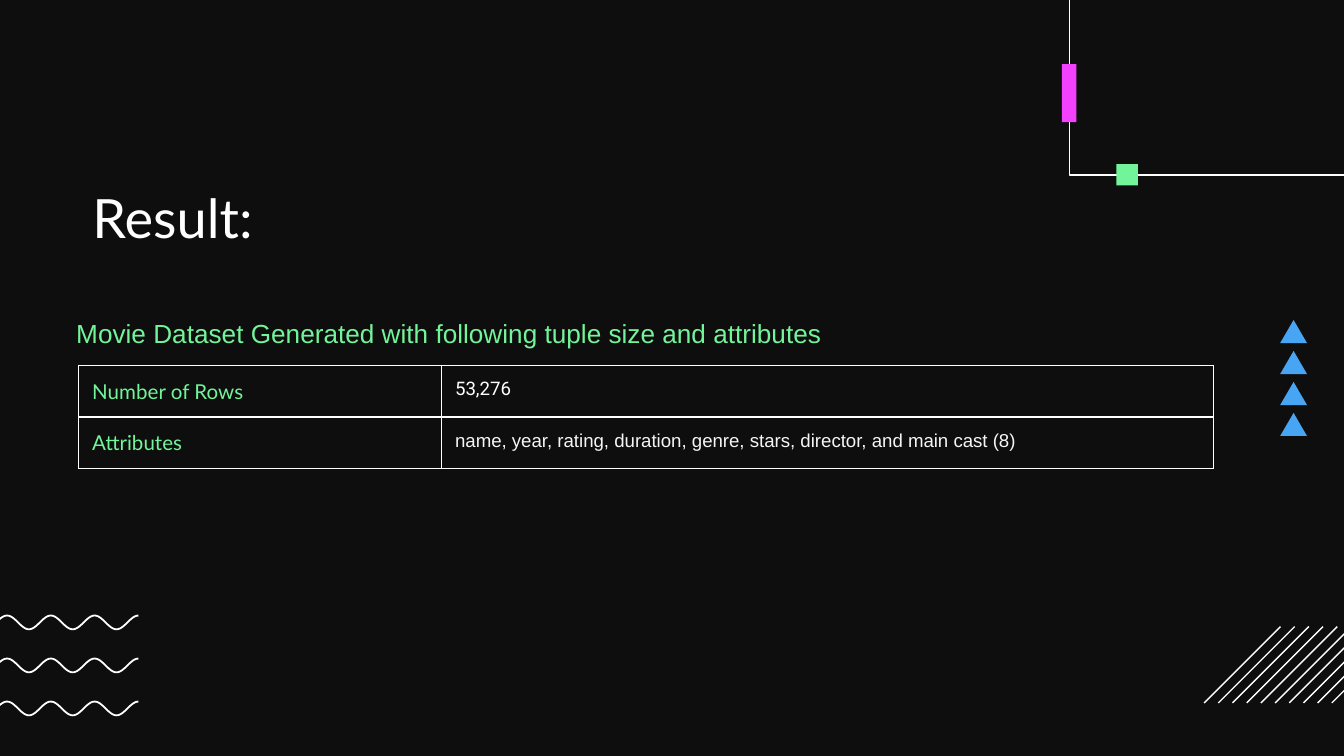
import math

import lxml.etree
import pptx
import pptx.dml.color
import pptx.enum.shapes
import pptx.enum.text
import pptx.oxml.ns
import pptx.util

Pt = pptx.util.Pt
qn = pptx.oxml.ns.qn
SHAPES = pptx.enum.shapes.MSO_SHAPE
COLORS = {
    "back": "0E0E0E",
    "white": "FFFFFF",
    "soft": "F5F5F5",
    "green": "72F49A",
    "blue": "47A5F3",
    "pink": "F341FF",
}


def color(name):
    return pptx.dml.color.RGBColor.from_string(COLORS[name])


def style_text(para, text, font, size, tint):
    para.text = text
    span = para.runs[0]
    span.font.name = font
    span.font.size = Pt(size)
    span.font.color.rgb = color(tint)


def add_text(page, box, text, font, size, tint, insets, wrap=True):
    frame = page.shapes.add_textbox(*map(Pt, box)).text_frame
    frame.word_wrap = wrap
    frame.vertical_anchor = pptx.enum.text.MSO_ANCHOR.TOP
    frame.margin_left, frame.margin_top, frame.margin_right, frame.margin_bottom = map(Pt, insets)
    style_text(frame.paragraphs[0], text, font, size, tint)


def add_solid(page, kind, box, tint):
    shape = page.shapes.add_shape(kind, *map(Pt, box))
    shape.shadow.inherit = False
    shape.fill.solid()
    shape.fill.fore_color.rgb = color(tint)
    shape.line.fill.background()


def add_outline(page, points, width):
    points = [(Pt(x), Pt(y)) for x, y in points]
    builder = page.shapes.build_freeform(*points[0])
    builder.add_line_segments(points[1:], close=False)
    shape = builder.convert_to_shape()
    shape.shadow.inherit = False
    shape.fill.background()
    shape.line.color.rgb = color("white")
    shape.line.width = Pt(width)


def add_waves(page, left, top, width, height, count=3, pitch=23.04, halves=7, samples=12):
    steps = halves * samples
    for row in range(count):
        add_outline(page, [
            (left + width * step / steps,
             top + row * pitch + height / 2 * (1 + math.cos(math.pi * step / samples)))
            for step in range(steps + 1)
        ], 0.95)


def add_triangles(page, left, top, width, height, count=4, pitch=16.6):
    for row in range(count):
        add_solid(page, SHAPES.ISOSCELES_TRIANGLE, (left, top + row * pitch, width, height), "blue")


def add_hatching(page, left, top, size, count=10, pitch=7.6):
    for index in range(count):
        start = left + index * pitch
        line = page.shapes.add_connector(
            pptx.enum.shapes.MSO_CONNECTOR.STRAIGHT,
            Pt(start + size), Pt(top), Pt(start), Pt(top + size))
        line.line.color.rgb = color("white")
        line.line.width = Pt(0.75)
        lxml.etree.SubElement(line._element.spPr, qn("a:effectLst"))


def add_corner(page, left, top, width, height):
    bottom = top + height
    add_outline(page, [(left + width, bottom), (left, bottom), (left, top)], 0.75)
    add_solid(page, SHAPES.RECTANGLE, (left + 25.2, bottom - 5.8, 11.5, 11.5), "green")
    add_solid(page, SHAPES.RECTANGLE, (left - 4.1, bottom - 59.3, 7.9, 31), "pink")


def set_borders(cell, visible):
    properties = cell._tc.get_or_add_tcPr()
    for side in "LRTB":
        edge = lxml.etree.SubElement(properties, qn("a:ln" + side), w=str(Pt(0.75)))
        if side in visible:
            fill = lxml.etree.SubElement(edge, qn("a:solidFill"))
            lxml.etree.SubElement(fill, qn("a:srgbClr"), val=COLORS["white"])
        else:
            lxml.etree.SubElement(edge, qn("a:noFill"))


def add_facts(page, left, top, widths, heights, facts):
    box = (left, top, sum(widths), sum(heights))
    table = page.shapes.add_table(len(heights), len(widths), *map(Pt, box)).table
    table.first_row = table.horz_banding = False
    for column, width in zip(table.columns, widths):
        column.width = Pt(width)
    for row, height in zip(table.rows, heights):
        row.height = Pt(height)
    for index, row in enumerate(table.rows):
        for cell in row.cells:
            set_borders(cell, "LRTB" if index < len(facts) else "T")
            cell.fill.background()
            cell.margin_left = cell.margin_right = Pt(7.2)
            cell.margin_top = cell.margin_bottom = Pt(7.2 if index < len(facts) else 0)
    for index, (label, value, font, tint) in enumerate(facts):
        style_text(table.cell(index, 0).text_frame.paragraphs[0], label, "Lato", 11, "green")
        para = table.cell(index, 1).text_frame.paragraphs[0]
        style_text(para, value, font, 10, tint)
        para.space_after = Pt(16)
    last = len(heights) - 1
    table.cell(last, 0).merge(table.cell(last, len(widths) - 1))


def build_result_page(deck):
    page = deck.slides.add_slide(deck.slide_layouts[6])
    page.background.fill.solid()
    page.background.fill.fore_color.rgb = color("back")
    add_waves(page, -7.92, 329.76, 82.08, 7.4)
    add_triangles(page, 685.8, 171.4, 14.4, 12.4)
    add_hatching(page, 645.1, 335.7, 40.9)
    add_text(page, (42.5, 98.6, 607.7, 33.1), "Result:", "Lato", 29, "white", (7.2, 0, 7.2, 7.2))
    add_facts(page, 42.2, 195.7, (194.4, 413.3), (27.7, 27.7, 26.6), [
        ("Number of Rows", "53,276", "Roboto", "white"),
        ("Attributes", "name, year, rating, duration, genre, stars, director, and main cast (8)",
         "Arial", "soft"),
    ])
    add_corner(page, 572.9, -150.5, 311, 244.2)
    add_text(page, (33.8, 166.3, 415.4, 24.5),
             "Movie Dataset Generated with following tuple size and attributes",
             "Arial", 14, "green", (7.2, 3.6, 7.2, 3.6), wrap=False)


deck = pptx.Presentation()
deck.slide_width, deck.slide_height = Pt(720), Pt(405)
build_result_page(deck)
deck.save("out.pptx")
